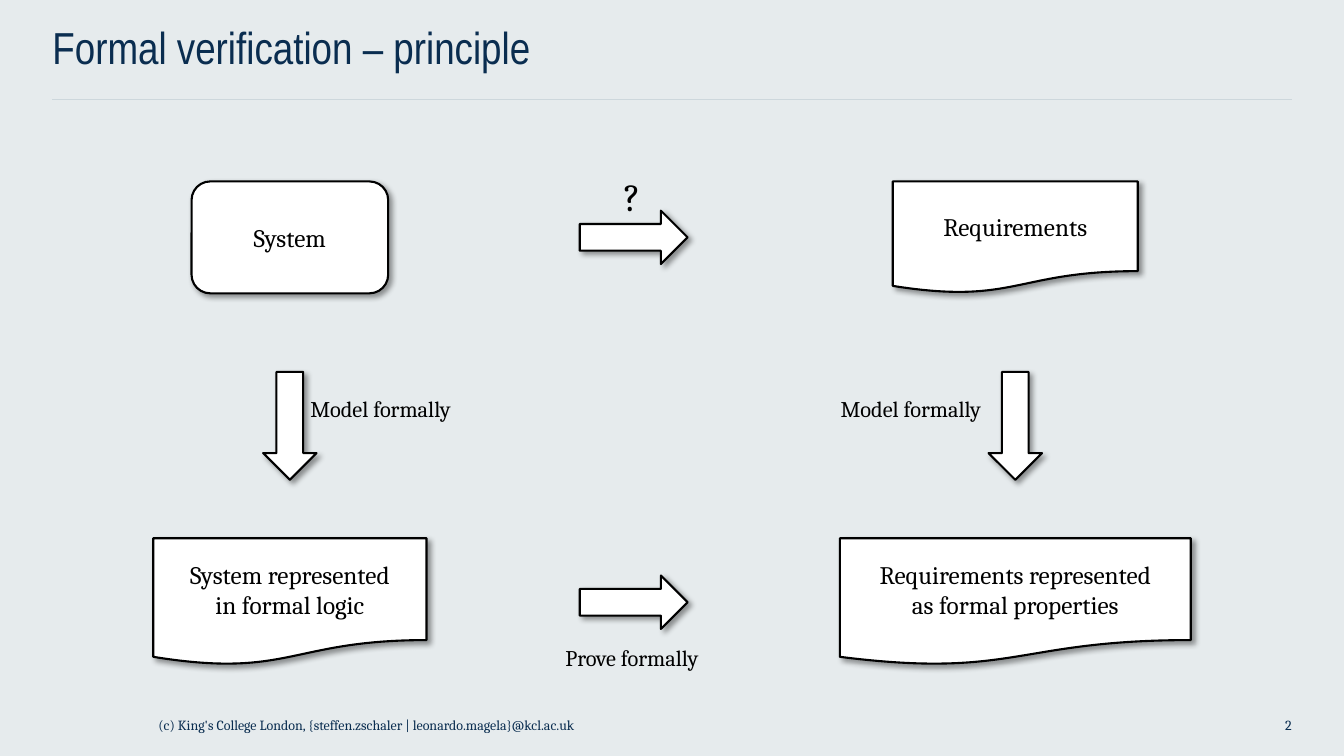
from dataclasses import dataclass

import lxml.etree
import pptx
import pptx.dml.color
import pptx.enum.shapes
import pptx.enum.text
import pptx.oxml.ns
import pptx.util

Inches = pptx.util.Inches
Pt = pptx.util.Pt
RGBColor = pptx.dml.color.RGBColor
Kind = pptx.enum.shapes.MSO_SHAPE
Align = pptx.enum.text.PP_ALIGN
Anchor = pptx.enum.text.MSO_ANCHOR
qn = pptx.oxml.ns.qn

BACKGROUND = RGBColor(0xE6, 0xEB, 0xED)
RULE = RGBColor(0xCD, 0xD7, 0xDC)
NAVY = RGBColor(0x0A, 0x2D, 0x50)
BLACK = RGBColor(0, 0, 0)
WHITE = RGBColor(255, 255, 255)

SYSTEM_X, CHECK_X, REQUIREMENTS_X = 2.875, 6.285, 10.07  # column centres
TOP_Y, MODEL_Y, FORMAL_Y = 1.8, 3.69, 5.34  # row tops
ARROW_LENGTH, ARROW_WIDTH = 1.07, 0.53


@dataclass(frozen=True)
class Node:
    kind: Kind
    center: float
    top: float
    width: float
    height: float
    lines: tuple[str, ...] = ()


@dataclass(frozen=True)
class Label:
    text: str
    center: float
    top: float
    width: float
    height: float = 0.37
    size: int = 16


@dataclass(frozen=True)
class Caption:
    """Title or footer text in a box without margins."""
    text: str
    left: float
    top: float
    width: float
    height: float
    size: int
    font: str = "Cambria"
    align: Align = Align.LEFT


def right_arrow(top: float) -> Node:
    return Node(Kind.RIGHT_ARROW, CHECK_X, top, ARROW_LENGTH, ARROW_WIDTH)


def down_arrow(center: float) -> Node:
    return Node(Kind.DOWN_ARROW, center, MODEL_Y, ARROW_WIDTH, ARROW_LENGTH)


CAPTIONS = (
    Caption("Formal verification – principle", 0.52, 0.2, 12.28, 0.79, 32, "Arial Narrow"),
    Caption("(c) King's College London, {steffen.zschaler | leonardo.magela}@kcl.ac.uk",
            1.57, 7.11, 10.18, 0.39, 10),
    Caption("2", 11.76, 7.11, 1.05, 0.39, 10, align=Align.RIGHT),
)

SINGLES = (
    right_arrow(2.09),
    Node(Kind.FLOWCHART_ALTERNATE_PROCESS, SYSTEM_X, TOP_Y, 1.95, 1.11, ("System",)),
    Node(Kind.FLOWCHART_DOCUMENT, REQUIREMENTS_X, TOP_Y, 2.43, 1.11, ("Requirements",)),
    Label("?", CHECK_X, 1.66, 0.39, 0.57, 28),
)

GROUPS = (
    (
        Node(Kind.FLOWCHART_DOCUMENT, SYSTEM_X, FORMAL_Y, 2.71, 1.26,
             ("System represented", "in formal logic")),
        down_arrow(SYSTEM_X),
        Label("Model formally", 3.845, 3.87, 1.73),
    ),
    (
        Node(Kind.FLOWCHART_DOCUMENT, REQUIREMENTS_X, FORMAL_Y, 3.48, 1.26,
             ("Requirements represented", "as formal properties")),
        down_arrow(REQUIREMENTS_X),
        Label("Model formally", 9.105, 3.87, 1.73),
    ),
    (right_arrow(5.71), Label("Prove formally", 6.34, 6.34, 1.66)),
)


def set_font(para, size: int, color: RGBColor, font: str = "Cambria") -> None:
    para.font.name = font
    para.font.size = Pt(size)
    para.font.color.rgb = color


def add_shadow(shape) -> None:
    shape.shadow.inherit = False
    effects = shape.element.spPr.find(qn("a:effectLst"))
    outer = lxml.etree.SubElement(
        effects, qn("a:outerShdw"), blurRad=str(Pt(4)), dist=str(Pt(3)),
        dir=str(45 * 60000), rotWithShape="0")
    color = lxml.etree.SubElement(outer, qn("a:srgbClr"), val=str(BLACK))
    lxml.etree.SubElement(color, qn("a:alpha"), val="40000")


def draw_node(shapes, node: Node) -> None:
    shape = shapes.add_shape(
        node.kind, Inches(node.center - node.width / 2), Inches(node.top),
        Inches(node.width), Inches(node.height))
    shape.fill.solid()
    shape.fill.fore_color.rgb = WHITE
    shape.line.color.rgb = BLACK
    shape.line.width = Pt(1.5)
    add_shadow(shape)
    if node.lines:
        frame = shape.text_frame
        frame.text = "\n".join(node.lines)
        frame.word_wrap = False
        frame.vertical_anchor = Anchor.MIDDLE
        for para in frame.paragraphs:
            para.alignment = Align.CENTER
            set_font(para, 18, BLACK)


def draw_label(shapes, label: Label) -> None:
    box = shapes.add_textbox(
        Inches(label.center - label.width / 2), Inches(label.top),
        Inches(label.width), Inches(label.height))
    frame = box.text_frame
    frame.text = label.text
    frame.word_wrap = False
    frame.auto_size = pptx.enum.text.MSO_AUTO_SIZE.SHAPE_TO_FIT_TEXT
    set_font(frame.paragraphs[0], label.size, BLACK)


def draw_caption(shapes, caption: Caption) -> None:
    box = shapes.add_textbox(Inches(caption.left), Inches(caption.top),
                             Inches(caption.width), Inches(caption.height))
    frame = box.text_frame
    frame.margin_left = frame.margin_right = frame.margin_top = frame.margin_bottom = 0
    frame.word_wrap = True
    frame.text = caption.text
    para = frame.paragraphs[0]
    para.alignment = caption.align
    set_font(para, caption.size, NAVY, caption.font)


def draw_title_rule(shapes) -> None:
    rule = shapes.add_connector(pptx.enum.shapes.MSO_CONNECTOR.STRAIGHT,
                                Inches(0.52), Inches(0.99), Inches(12.81), Inches(0.99))
    rule.line.color.rgb = RULE
    rule.line.width = Pt(1)
    lxml.etree.SubElement(rule.element.spPr, qn("a:effectLst"))


def draw_parts(shapes, parts: tuple[Node | Label, ...]) -> None:
    for part in parts:
        if isinstance(part, Node):
            draw_node(shapes, part)
        else:
            draw_label(shapes, part)


def main() -> None:
    deck = pptx.Presentation()
    deck.slide_width = Inches(13.33)
    deck.slide_height = Inches(7.5)
    page = deck.slides.add_slide(deck.slide_layouts[6])
    page.background.fill.solid()
    page.background.fill.fore_color.rgb = BACKGROUND

    draw_title_rule(page.shapes)
    for caption in CAPTIONS:
        draw_caption(page.shapes, caption)
    draw_parts(page.shapes, SINGLES)
    for parts in GROUPS:
        draw_parts(page.shapes.add_group_shape().shapes, parts)

    deck.save("out.pptx")


if __name__ == "__main__":
    main()
